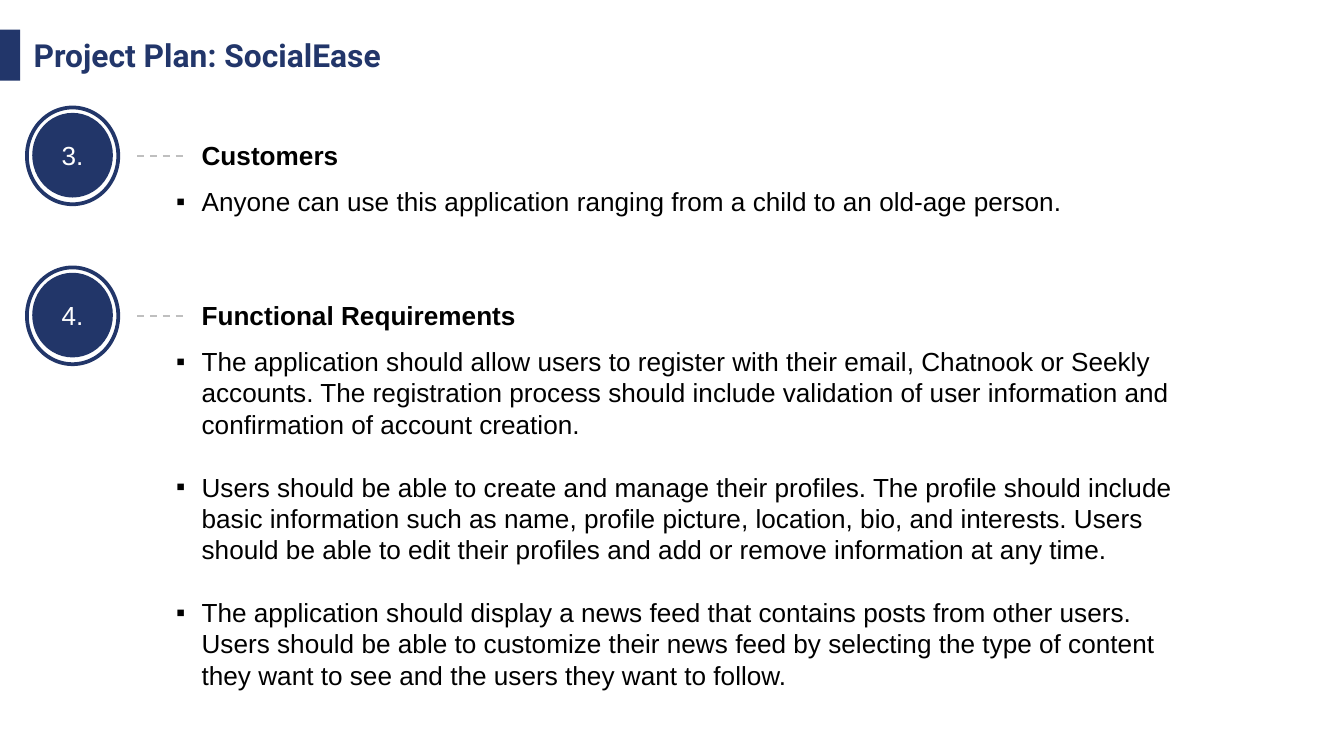
"""Build the project plan slide with two numbered sections."""
import pptx
import pptx.util
import pptx.dml.color
import pptx.enum.dml
import pptx.enum.shapes
import pptx.enum.text
import pptx.oxml

THEME = {
    "navy": pptx.dml.color.RGBColor.from_string("22366A"),
    "disc": pptx.dml.color.RGBColor.from_string("223669"),
    "black": pptx.dml.color.RGBColor.from_string("000000"),
    "white": pptx.dml.color.RGBColor.from_string("FFFFFF"),
    "grey": pptx.dml.color.RGBColor.from_string("BFBFBF"),
    "title_font": "Roboto",
    "body_font": "Arial",
    "title_size": pptx.util.Pt(17),
    "body_size": pptx.util.Pt(14),
    "gap": pptx.util.Pt(16.8),
}
SECTIONS = [
    ("3.", "Customers", 1.47, 7.56, 0.34, [
        "Anyone can use this application ranging from a child to an old-age person.",
    ]),
    ("4.", "Functional Requirements", 2.59, 7.75, 2.69, [
        "The application should allow users to register with their email, Chatnook or Seekly "
        "accounts. The registration process should include validation of user information and "
        "confirmation of account creation.",
        "Users should be able to create and manage their profiles. The profile should include "
        "basic information such as name, profile picture, location, bio, and interests. Users "
        "should be able to edit their profiles and add or remove information at any time.",
        "The application should display a news feed that contains posts from other users. "
        "Users should be able to customize their news feed by selecting the type of content "
        "they want to see and the users they want to follow.",
    ]),
]
FIRST_ROW, ROW_STEP = 0.8, 1.19
DRAWING = "http://schemas.openxmlformats.org/drawingml/2006/main"

deck = pptx.Presentation()
deck.slide_width = pptx.util.Inches(10)
deck.slide_height = deck.slide_width * 9 // 16
page = deck.slides.add_slide(deck.slide_layouts.get_by_name("Comparison"))
column = row = deck.slide_width / 10


def grid(left, top, width, height):
    """Turn grid columns and rows into slide lengths."""
    return [round(share * unit) for share, unit in
            zip((left, top, width, height), (column, row, column, row))]


def write(box, place, lines, font, size, color, bold=False, bullet=False):
    """Move a placeholder and fill it with formatted paragraphs."""
    box.left, box.top, box.width, box.height = place
    frame = box.text_frame
    frame.word_wrap = True
    frame.auto_size = pptx.enum.text.MSO_AUTO_SIZE.NONE
    frame.vertical_anchor = pptx.enum.text.MSO_ANCHOR.TOP
    for number, line in enumerate(lines):
        para = frame.add_paragraph() if number else frame.paragraphs[0]
        para.alignment = pptx.enum.text.PP_ALIGN.LEFT
        para.space_before = THEME["gap"] if number else pptx.util.Pt(0)
        if bullet:
            settings = para._p.get_or_add_pPr()
            settings.set("marL", str(pptx.util.Inches(0.19)))
            settings.set("indent", str(-pptx.util.Inches(0.19)))
            for element in ('buClr xmlns:a="%s"><a:srgbClr val="000000"/></a:buClr>',
                            'buFont xmlns:a="%s" typeface="Arial"/>',
                            'buChar xmlns:a="%s" char="▪"/>'):
                settings.append(pptx.oxml.parse_xml("<a:" + element % DRAWING))
        span = para.add_run()
        span.text = line
        span.font.name, span.font.size, span.font.bold = font, size, bold
        span.font.color.rgb = color


bar = page.shapes.add_shape(pptx.enum.shapes.MSO_SHAPE.RECTANGLE, *grid(0, 0.22, 0.15, 0.38))
bar.shadow.inherit = False
bar.fill.solid()
bar.fill.fore_color.rgb = THEME["navy"]
bar.line.fill.background()

title = page.shapes.title
write(title, grid(0.15, 0.22, 8.62, 0.38), ["Project Plan: SocialEase"],
      THEME["title_font"], THEME["title_size"], THEME["navy"], bold=True)
title.text_frame.vertical_anchor = pptx.enum.text.MSO_ANCHOR.MIDDLE

bodies = list(page.placeholders)[1:]
for index, (number, heading, heading_width, width, height, points) in enumerate(SECTIONS):
    top = FIRST_ROW + index * ROW_STEP
    write(bodies[2 * index], grid(1.4, top + 0.19, heading_width, 0.34), [heading],
          THEME["body_font"], THEME["body_size"], THEME["black"], bold=True)
    write(bodies[2 * index + 1], grid(1.21, top + 0.53, width, height), points,
          THEME["body_font"], THEME["body_size"], THEME["black"], bullet=True)

    disc = page.shapes.add_shape(pptx.enum.shapes.MSO_SHAPE.OVAL,
                                 *grid(0.24, top + 0.04, 0.6, 0.63))
    disc.shadow.inherit = False
    disc.fill.solid()
    disc.fill.fore_color.rgb = THEME["disc"]
    disc.line.fill.background()
    frame = disc.text_frame
    frame.margin_left = frame.margin_right = pptx.util.Inches(0.04)
    frame.vertical_anchor = pptx.enum.text.MSO_ANCHOR.MIDDLE
    para = frame.paragraphs[0]
    para.alignment = pptx.enum.text.PP_ALIGN.CENTER
    span = para.add_run()
    span.text = number
    span.font.name, span.font.size = THEME["body_font"], THEME["body_size"]
    span.font.color.rgb = THEME["white"]

    ring = page.shapes.add_shape(pptx.enum.shapes.MSO_SHAPE.OVAL, *grid(0.2, top, 0.68, 0.72))
    ring.shadow.inherit = False
    ring.fill.background()
    ring.line.color.rgb = THEME["disc"]
    ring.line.width = pptx.util.Pt(2)

    dash = page.shapes.add_connector(pptx.enum.shapes.MSO_CONNECTOR.STRAIGHT,
                                     *grid(1.02, top + 0.36, 1.4, top + 0.36))
    dash.line.color.rgb = THEME["grey"]
    dash.line.width = pptx.util.Pt(1)
    dash.line.dash_style = pptx.enum.dml.MSO_LINE.DASH
    dash._element.spPr.append(pptx.oxml.parse_xml('<a:effectLst xmlns:a="%s"/>' % DRAWING))

deck.save("out.pptx")
